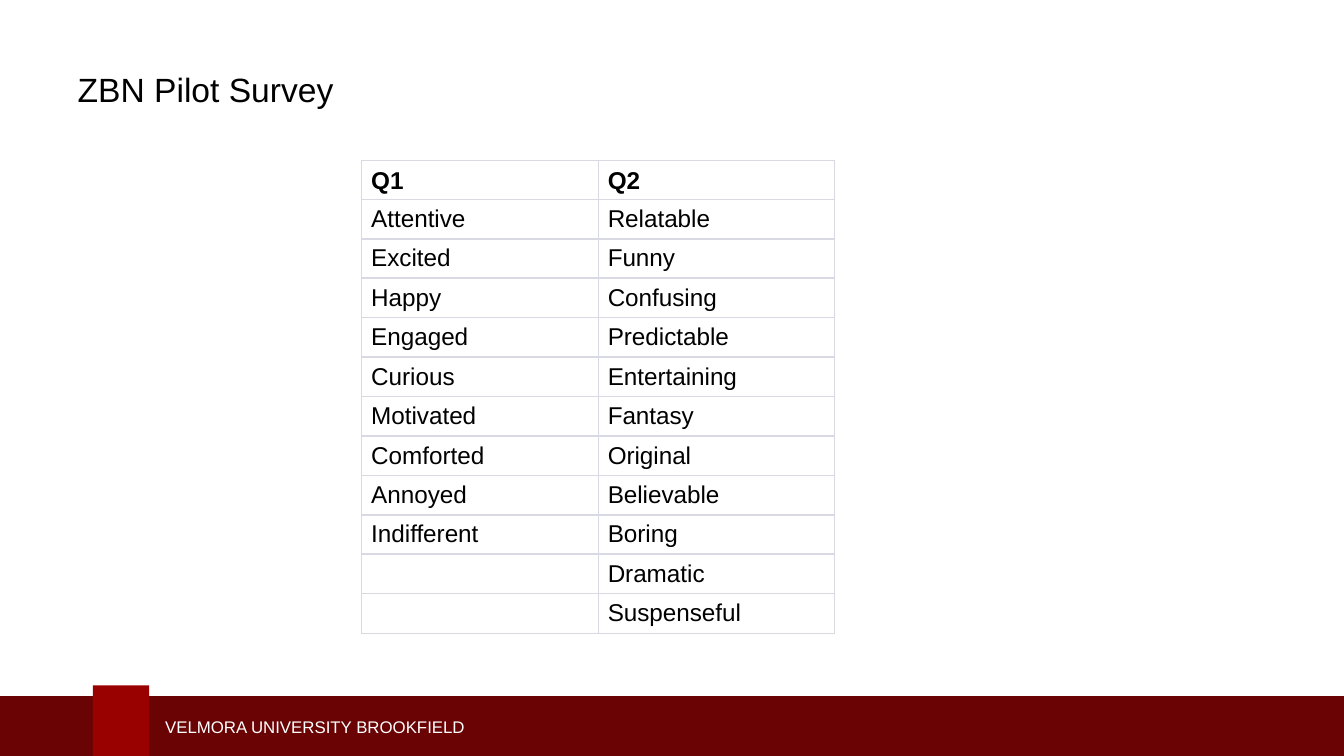
import lxml.etree
import pptx
import pptx.dml.color
import pptx.enum.shapes
import pptx.enum.text
import pptx.oxml.ns
import pptx.util

Inches = pptx.util.Inches
Pt = pptx.util.Pt
RGBColor = pptx.dml.color.RGBColor
Anchor = pptx.enum.text.MSO_ANCHOR
qn = pptx.oxml.ns.qn

BLACK = RGBColor(0x00, 0x00, 0x00)
WHITE = RGBColor(0xFF, 0xFF, 0xFF)
CRIMSON = RGBColor(0x99, 0x00, 0x00)
DARK_CRIMSON = RGBColor(0x69, 0x03, 0x04)
GRID_GRAY = RGBColor(0xD9, 0xD9, 0xE3)

FONT = "Arial"
HEADERS = ["Q1", "Q2"]
FEELINGS = ["Attentive", "Excited", "Happy", "Engaged", "Curious", "Motivated",
            "Comforted", "Annoyed", "Indifferent", "", ""]
DESCRIPTIONS = ["Relatable", "Funny", "Confusing", "Predictable", "Entertaining",
                "Fantasy", "Original", "Believable", "Boring", "Dramatic", "Suspenseful"]


def write_text(frame, text, size, color=BLACK, bold=False):
    paragraph = frame.paragraphs[0]
    if not text:
        lxml.etree.SubElement(paragraph._p, qn("a:endParaRPr"), sz=str(size * 100))
        return
    run = paragraph.add_run()
    run.text = text
    run.font.name = FONT
    run.font.size = Pt(size)
    run.font.bold = bold
    run.font.color.rgb = color


def add_text_box(slide, left, top, width, height, text, anchor=Anchor.TOP, **text_format):
    box = slide.shapes.add_textbox(Inches(left), Inches(top), Inches(width), Inches(height))
    box.text_frame.word_wrap = True
    box.text_frame.vertical_anchor = anchor
    write_text(box.text_frame, text, **text_format)


def add_rectangle(slide, left, top, width, height, color):
    shape = slide.shapes.add_shape(
        pptx.enum.shapes.MSO_SHAPE.RECTANGLE,
        Inches(left), Inches(top), Inches(width), Inches(height))
    shape.shadow.inherit = False
    shape.fill.solid()
    shape.fill.fore_color.rgb = color
    shape.line.fill.background()


def set_borders(cell, **widths):
    properties = cell._tc.get_or_add_tcPr()
    for side in "LRTB":
        line = lxml.etree.SubElement(
            properties, qn(f"a:ln{side}"), w=str(Pt(widths[side])))
        fill = lxml.etree.SubElement(line, qn("a:solidFill"))
        lxml.etree.SubElement(fill, qn("a:srgbClr"), val=str(GRID_GRAY))


def add_footer(slide, left, top, width, height):
    add_rectangle(slide, left, top + 0.08, width, height - 0.08, DARK_CRIMSON)
    add_rectangle(slide, left + 0.72, top, 0.42, height, CRIMSON)
    add_text_box(slide, left + 1.16, top + 0.18, 3.95, 0.25,
                 "VELMORA UNIVERSITY BROOKFIELD",
                 anchor=Anchor.MIDDLE, size=9, color=WHITE)


def add_survey_table(slide, left, top, width, height):
    rows = [HEADERS, *zip(FEELINGS, DESCRIPTIONS)]
    last_row = len(rows) - 1
    table = slide.shapes.add_table(
        len(rows), len(HEADERS),
        Inches(left), Inches(top), Inches(width), Inches(height)).table
    table.first_row = False
    table.horz_banding = False
    for row_index, words in enumerate(rows):
        is_header = row_index == 0
        for column_index, word in enumerate(words):
            cell = table.cell(row_index, column_index)
            cell.margin_left = cell.margin_right = Pt(5.2)
            cell.margin_top = cell.margin_bottom = Pt(2.6)
            cell.vertical_anchor = Anchor.BOTTOM if is_header else Anchor.MIDDLE
            set_borders(cell, L=0.5, R=0.5, T=0.5 if is_header else 1,
                        B=0.5 if row_index == last_row else 1)
            cell.fill.background()
            write_text(cell.text_frame, word, size=13, bold=is_header)


def main():
    presentation = pptx.Presentation()
    presentation.slide_width = Inches(10)
    presentation.slide_height = presentation.slide_width * 9 // 16
    slide = presentation.slides.add_slide(presentation.slide_layouts[6])
    add_footer(slide, -0.03, 5.1, 10.09, 0.58)
    add_text_box(slide, 0.48, 0.46, 9.05, 1.92, "ZBN Pilot Survey", size=18)
    add_survey_table(slide, 2.69, 1.19, 3.52, 3.52)
    presentation.save("out.pptx")


if __name__ == "__main__":
    main()
